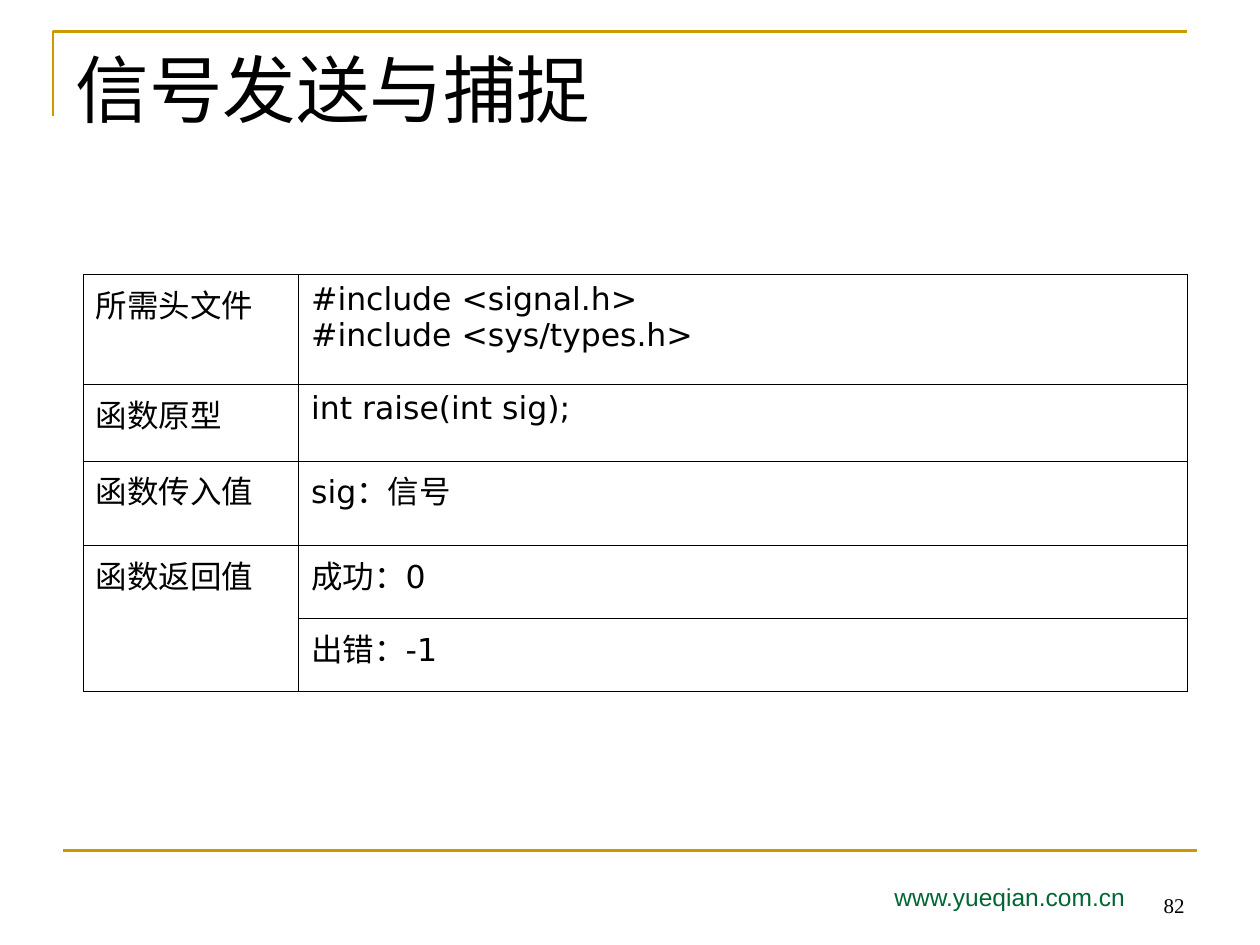
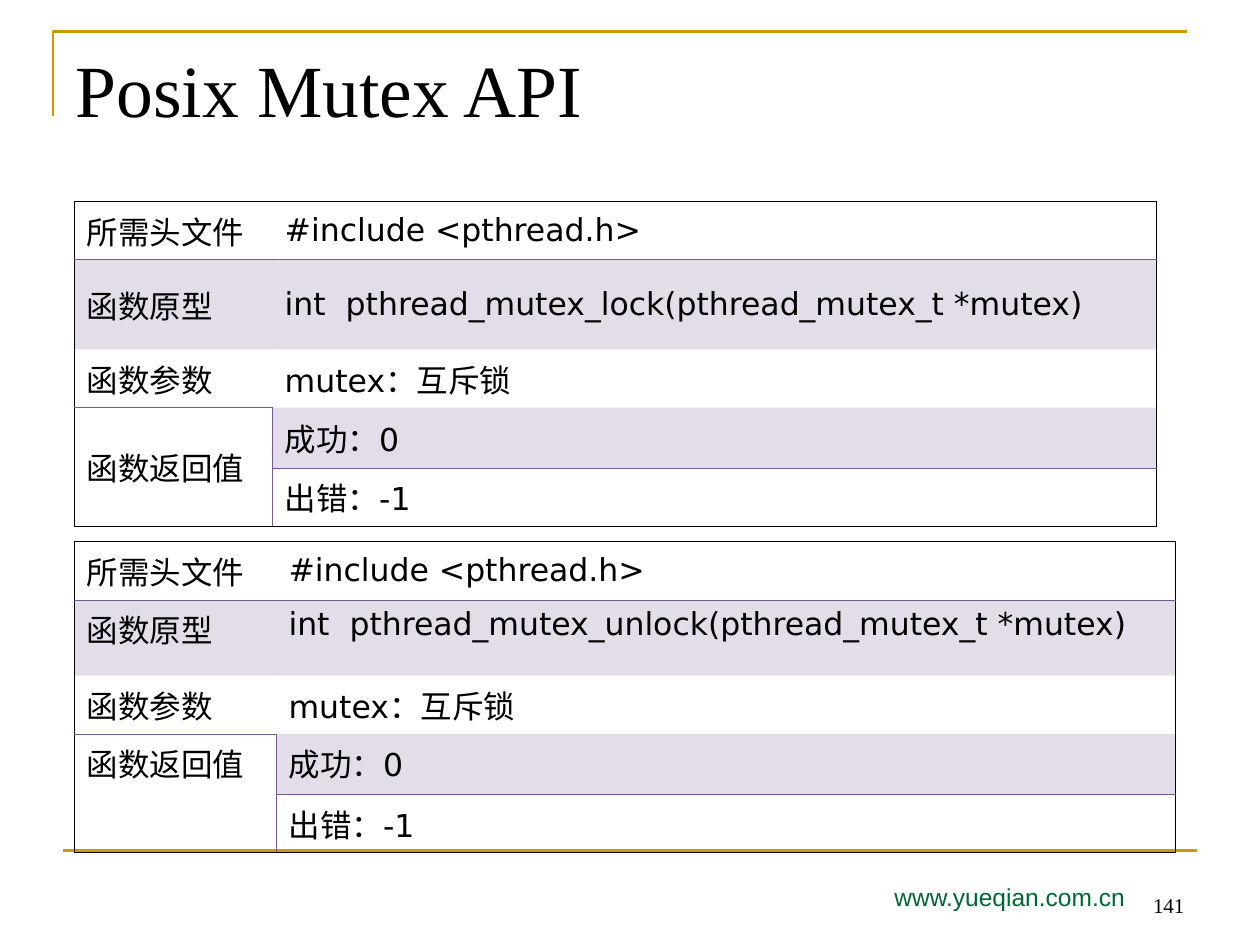
from dataclasses import dataclass
from pptx import Presentation
from pptx.dml.color import RGBColor
from pptx.enum import lang, shapes, text
from pptx.oxml import parse_xml
from pptx.oxml.ns import nsdecls
from pptx.util import Inches, Pt


@dataclass(frozen=True)
class Theme:
    gold: str = "CC9900"
    green: str = "006633"
    black: str = "000000"
    plum: str = "755992"
    serif: str = "Times New Roman"
    sans: str = "Arial"
    body: str = "DejaVu Sans"
    title: float = 42
    cell: float = 18
    site: float = 14
    page: float = 12
    rule: float = 1.5
    thin: float = 0.45
    side: float = 0.34
    thick: float = 0.96
    tint: int = 20


T = Theme()
MID, TOP, LOW = (text.MSO_ANCHOR.MIDDLE, text.MSO_ANCHOR.TOP,
                 text.MSO_ANCHOR.BOTTOM)
LEFT, RIGHT = text.PP_ALIGN.LEFT, text.PP_ALIGN.RIGHT
SITE = "www.yueqian.com.cn"
BACK = [("函数返回值", "成功：0"), (None, "出错：-1")]


def mutex(verb):
    return [("所需头文件", "#include <pthread.h>"),
            ("函数原型", f"int  pthread_mutex_{verb}(pthread_mutex_t *mutex)"),
            ("函数参数", "mutex：互斥锁"), *BACK]


RAISE = [("所需头文件", "#include <signal.h>\n#include <sys/types.h>"),
         ("函数原型", "int raise(int sig);"),
         ("函数传入值", "sig：信号"), *BACK]

GRID = dict(lines=None, shade=(), top=T.thick, side=T.thin)
# Inner rules of a banded table: the edges drawn for each (row, column)
BAND = dict(lines={(0, 0): "B", (0, 1): "B", (2, 0): "B", (3, 1): "LB"},
            shade={(1, 0), (1, 1), (3, 1)})
SLIDES = [
    dict(title="信号发送与捕捉", page="82", dot=(3.71, 4.4), tables=[
        dict(rows=RAISE, at=(0.66, 2.18), cols=(1.71, 7.05),
             highs=(0.87, 0.61, 0.67, 0.58, 0.58), look=GRID, mid=())]),
    dict(title="Posix Mutex API", page="141", tables=[
        dict(rows=mutex("lock"), at=(0.59, 1.6), cols=(1.57, 7.02),
             highs=(0.4, 0.71, 0.44, 0.48, 0.4), look=BAND,
             mid={(r, c) for r in range(5) for c in range(2)}),
        dict(rows=mutex("unlock"), at=(0.59, 4.3), cols=(1.6, 7.14),
             highs=(0.4, 0.6, 0.44, 0.48, 0.4), look=BAND, mid={(0, 1)})]),
]


def style(font, name, size, color):
    look = dict(name=name, size=Pt(size),
                language_id=lang.MSO_LANGUAGE_ID.SIMPLIFIED_CHINESE)
    for key, val in look.items():
        setattr(font, key, val)
    font.color.rgb = RGBColor.from_string(color)


def fill(frame, words, font, anchor=TOP, align=LEFT):
    for key, val in dict(text=words, word_wrap=True, vertical_anchor=anchor,
                         auto_size=text.MSO_AUTO_SIZE.NONE).items():
        setattr(frame, key, val)
    para = frame.paragraphs[0]
    para.alignment = align
    style(para.runs[0].font, *font)


def label(slide, box, words, font, **spot):
    fill(slide.shapes.add_textbox(*map(Inches, box)).text_frame,
         words, font, **spot)


def line(slide, start, end, color, width):
    rule = slide.shapes.add_connector(
        shapes.MSO_CONNECTOR.STRAIGHT, *map(Inches, start + end))
    rule.line.color.rgb = RGBColor.from_string(color)
    rule.line.width = Pt(width)
    rule._element.spPr.append(parse_xml(f"<a:effectLst {nsdecls('a')}/>"))


def frame(slide, title, page):
    """Draw the corner, foot rule, title, site and page number."""
    pen = slide.shapes.build_freeform(Inches(0.42), Inches(0.92))
    pen.add_line_segments([(Inches(0.42), Inches(0.25)),
                           (Inches(9.42), Inches(0.25))], close=False)
    edge = pen.convert_to_shape()
    edge.shadow.inherit = False
    edge.fill.background()
    edge.line.color.rgb = RGBColor.from_string(T.gold)
    edge.line.width = Pt(T.rule)
    line(slide, (0.5, 6.75), (9.5, 6.75), T.gold, T.rule)
    head = slide.shapes.title
    for key, val in dict(left=0.5, top=0.3, width=9, height=1.25).items():
        setattr(head, key, Inches(val))
    fill(head.text_frame, title, (T.serif, T.title, T.black))
    label(slide, (7, 6.95, 2.5, 0.4), SITE, (T.sans, T.site, T.green))
    label(slide, (7.17, 6.83, 2.33, 0.5), page,
          (T.serif, T.page, T.black), anchor=LOW, align=RIGHT)


def pen(look, row, col, side, last):
    """Give the colour and width of one cell edge, or None."""
    if side == "T" and row == 0 or side == "B" and row >= last:
        return T.black, T.thin if look is BAND else T.thick
    if side == "L" and col == 0 or side == "R" and col == 1:
        return T.black, T.thin if look is BAND else T.side
    lines = look["lines"]
    if lines is None:
        return T.black, T.thin
    above = side == "T" and "B" in lines.get((row - 1, col), "")
    if above or side in lines.get((row, col), ""):
        return T.plum, T.thin
    return None


def border(cell, side, ink):
    color, width = ink or (None, 0)
    paint = (f'<a:solidFill><a:srgbClr val="{color}"/></a:solidFill>'
             if ink else "<a:noFill/>")
    return parse_xml(f'<a:ln{side} {nsdecls("a")} w="{Pt(width)}">'
                     f'{paint}</a:ln{side}>')


def tint(cell):
    cell.fill.solid()
    cell.fill.fore_color.rgb = RGBColor.from_string(T.plum)
    hue = cell._tc.tcPr.find(".//{*}srgbClr")
    hue.append(parse_xml(f'<a:alpha {nsdecls("a")} val="{T.tint * 1000}"/>'))


def table(slide, rows, at, cols, highs, look, mid):
    size = sum(cols), sum(highs)
    grid = slide.shapes.add_table(
        len(rows), len(cols), *map(Inches, at + size)).table
    grid.first_row = grid.horz_banding = False
    for part, wide in zip(grid.columns, cols):
        part.width = Inches(wide)
    for part, high in zip(grid.rows, highs):
        part.height = Inches(high)
    end = len(rows) - 1
    grid.cell(end - 1, 0).merge(grid.cell(end, 0))
    for r, pair in enumerate(rows):
        for c, words in enumerate(pair):
            cell = grid.cell(r, c)
            cell.vertical_anchor = MID if (r, c) in mid else TOP
            if (r, c) in look["shade"]:
                tint(cell)
            else:
                cell.fill.background()
            last = end - 1 if c == 0 else end
            for i, side in enumerate("LRTB"):
                ink = pen(look, r, c, side, last)
                cell._tc.tcPr.insert(i, border(cell, side, ink))
            if words is None:
                continue
            cell.text = words
            for para in cell.text_frame.paragraphs:
                props = para._p.get_or_add_pPr()
                props.set("marL", str(Inches(0.3)))
                props.set("indent", str(Inches(-0.3)))
                style(para.runs[0].font, T.body, T.cell, T.black)


def main():
    prs = Presentation()
    prs.slide_width, prs.slide_height = Inches(10), Inches(7.5)
    for page in SLIDES:
        slide = prs.slides.add_slide(prs.slide_layouts[5])
        frame(slide, page["title"], page["page"])
        if "dot" in page:
            line(slide, page["dot"], page["dot"], T.black, 1)
        for item in page["tables"]:
            table(slide, **item)
    prs.save("out.pptx")


if __name__ == "__main__":
    main()
